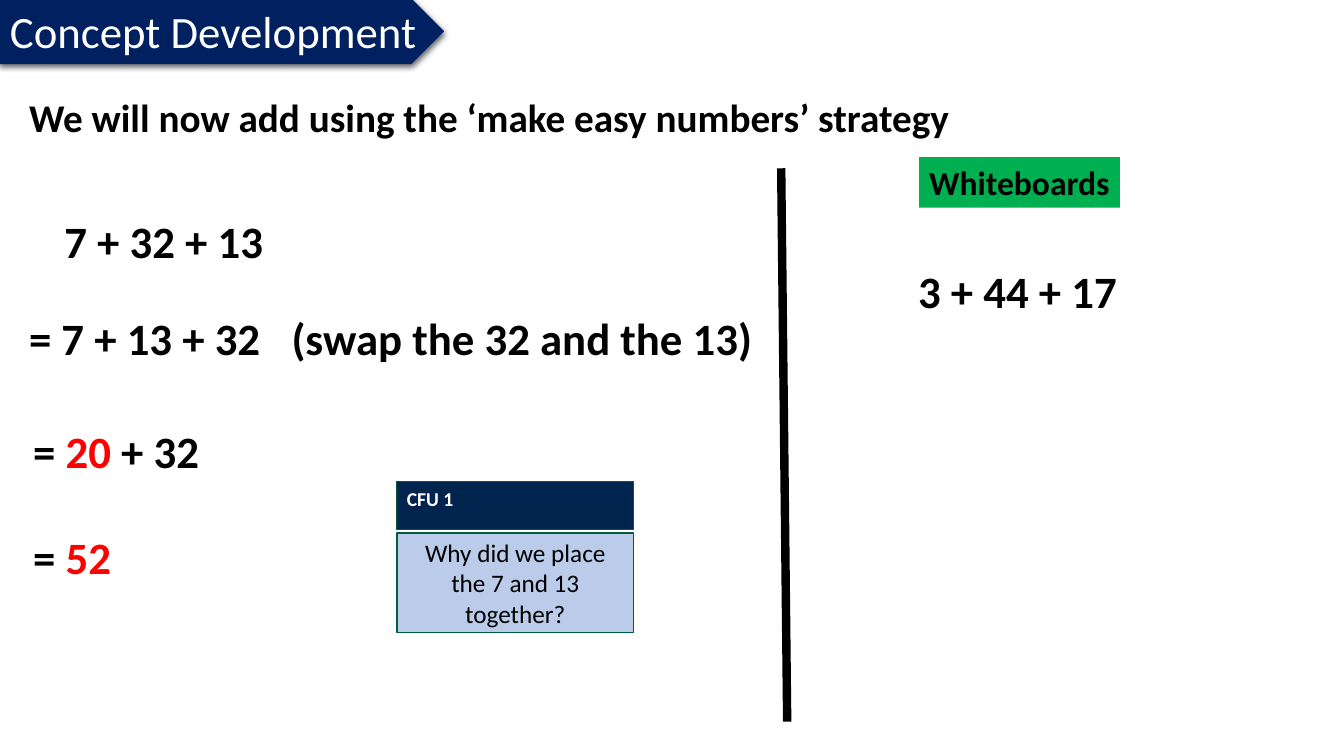
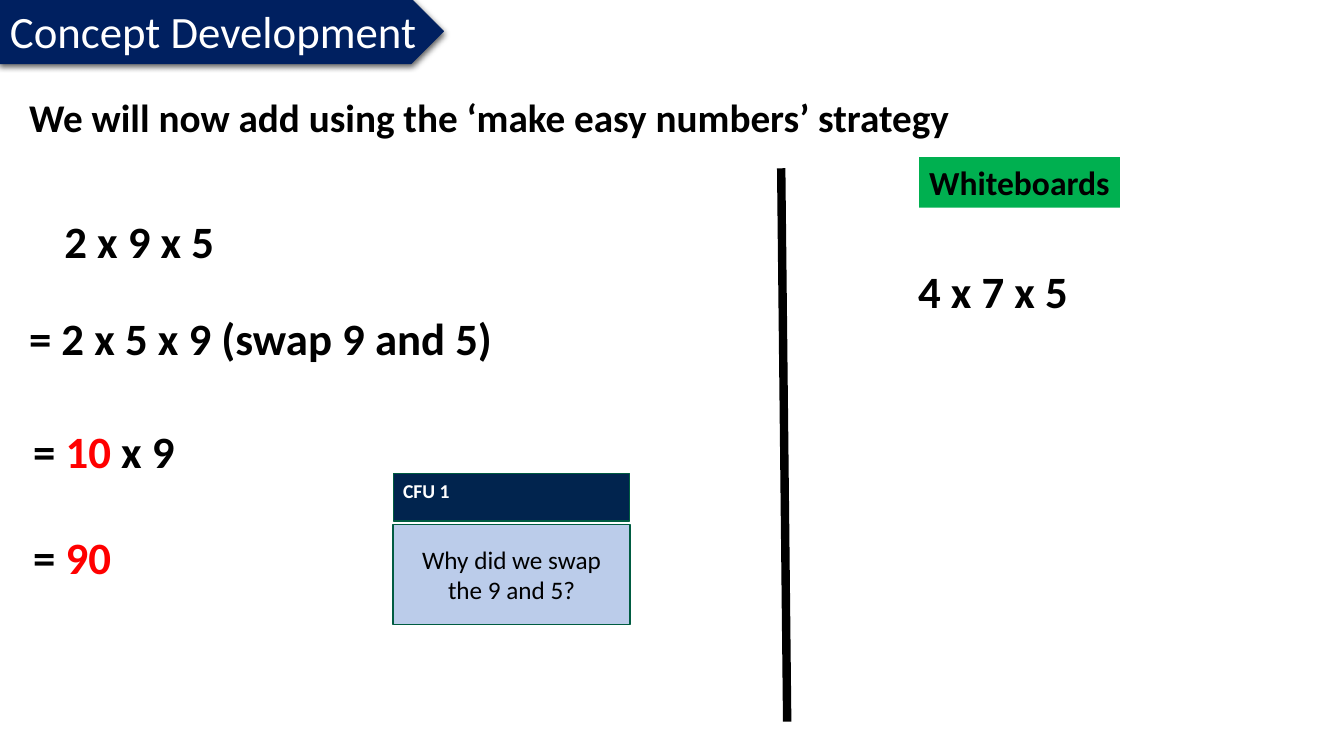
from lxml import etree
from pptx import Presentation
from pptx.dml.color import RGBColor
from pptx.enum.shapes import MSO_CONNECTOR, MSO_SHAPE
from pptx.enum.text import MSO_ANCHOR as ANCHOR, PP_ALIGN as ALIGN
from pptx.oxml.ns import qn
from pptx.util import Pt

FONT = "Calibri"
BLACK = RGBColor(0x00, 0x00, 0x00)
WHITE = RGBColor(0xFF, 0xFF, 0xFF)
RED = RGBColor(0xFF, 0x00, 0x00)
NAVY = RGBColor(0x00, 0x20, 0x60)
CFU_NAVY = RGBColor(0x01, 0x24, 0x4E)
CFU_BLUE = RGBColor(0x8F, 0xAA, 0xDC)
CFU_LINE = RGBColor(0x00, 0x5C, 0x41)
GREEN = RGBColor(0x00, 0xB0, 0x50)

# Content: each working line is a list of (text, colour) runs
BANNER = "Concept Development"
HEADING = "We will now add using the ‘make easy numbers’ strategy"
SLIDES = [
    {
        "steps": [
            [("7 + 32 + 13", BLACK)],
            [("= 7 + 13 + 32\t(swap the 32 and the 13)", BLACK)],
            [("= ", BLACK), ("20 ", RED), ("+ 32", BLACK)],
            [("= ", BLACK), ("52", RED)],
        ],
        "practice": "3 + 44 + 17",
        "question": "Why did we place the 7 and 13 together?",
        "cfu_at": (283.5, 344.2),
    },
    {
        "steps": [
            [("2 x 9 x 5", BLACK)],
            [("= 2 x 5 x 9 (swap 9 and 5)", BLACK)],
            [("= ", BLACK), ("10 ", RED), ("x 9", BLACK)],
            [("= ", BLACK), ("90", RED)],
        ],
        "practice": "4 x 7 x 5",
        "question": "Why did we swap the 9 and 5?",
        "cfu_at": (280.8, 338.4),
    },
]

# Layout, in points
STEP_AT = [(38.9, 153.4), (13.7, 222.5), (16.6, 303.1), (16.6, 379.4)]
STEP_SIZE = (703.4, 51.8)
NOTE_TAB = 187.5
CFU_WIDTH, CFU_HEAD, CFU_BODY, CFU_STEP = 169.2, 33.8, 71.3, 36.4


def add_text(sp, runs, size, color=BLACK, bold=False, align=ALIGN.LEFT,
             anchor=ANCHOR.TOP, wrap=True, spacing=None, tab=None):
    """Write one paragraph; runs is a string or a list of (text, colour)."""
    tf = sp.text_frame
    tf.word_wrap, tf.vertical_anchor = wrap, anchor
    p = tf.paragraphs[0]
    p.alignment = align
    if spacing:
        p.line_spacing = spacing
    if tab:
        tabs = etree.SubElement(p._p.get_or_add_pPr(), qn("a:tabLst"))
        etree.SubElement(tabs, qn("a:tab"), pos=str(Pt(tab)), algn="l")
    for text, run_color in [(runs, color)] if isinstance(runs, str) else runs:
        r = p.add_run()
        r.text = text
        r.font.name, r.font.size, r.font.bold = FONT, Pt(size), bold
        r.font.color.rgb = run_color


def add_line_of_text(s, box, runs, size, **fmt):
    sp = s.shapes.add_textbox(*map(Pt, box))
    add_text(sp, runs, size, bold=True, spacing=0.9, **fmt)


def add_block(s, kind, box, fill, line=None, width=0.75):
    sp = s.shapes.add_shape(kind, *map(Pt, box))
    sp.shadow.inherit = False
    sp.fill.solid()
    sp.fill.fore_color.rgb = fill
    if line is None:
        sp.line.fill.background()
    else:
        sp.line.color.rgb, sp.line.width = line, Pt(width)
    return sp


def set_alpha(color_el, percent):
    etree.SubElement(color_el, qn("a:alpha"), val=str(percent * 1000))


def add_banner(s):
    sp = add_block(s, MSO_SHAPE.PENTAGON, (0, -0.7, 316.8, 46.1), NAVY, NAVY)
    effects = sp._element.spPr.find(qn("a:effectLst"))
    shadow = etree.SubElement(effects, qn("a:outerShdw"), blurRad=str(Pt(4.5)),
                              dist=str(Pt(1.5)), dir="5400000", rotWithShape="0")
    set_alpha(etree.SubElement(shadow, qn("a:srgbClr"), val=str(BLACK)), 63)
    add_text(sp, BANNER, 32, WHITE, wrap=False)


def add_divider(s):
    ends = map(Pt, (558, 120.2, 562.3, 515.5))
    line = s.shapes.add_connector(MSO_CONNECTOR.STRAIGHT, *ends)
    line.line.color.rgb, line.line.width = BLACK, Pt(6)
    etree.SubElement(line._element.spPr, qn("a:effectLst"))


def add_cfu(s, left, top, question):
    head = add_block(s, MSO_SHAPE.RECTANGLE, (left, top, CFU_WIDTH, CFU_HEAD),
                     CFU_NAVY, CFU_LINE)
    add_text(head, "CFU 1", 14, WHITE, bold=True)
    body = add_block(s, MSO_SHAPE.RECTANGLE,
                     (left, top + CFU_STEP, CFU_WIDTH, CFU_BODY),
                     CFU_BLUE, CFU_LINE, width=1)
    fill = body._element.spPr.find(qn("a:solidFill"))
    set_alpha(fill.find(qn("a:srgbClr")), 60)
    add_text(body, question, 18, align=ALIGN.CENTER, anchor=ANCHOR.MIDDLE)


def build_slide(prs, content):
    s = prs.slides.add_slide(prs.slide_layouts[6])
    add_line_of_text(s, (13.7, 67, 703.4, 72), HEADING, 28)
    add_cfu(s, *content["cfu_at"], content["question"])
    # Worked example
    for at, runs in zip(STEP_AT, content["steps"]):
        add_line_of_text(s, at + STEP_SIZE, runs, 32, tab=NOTE_TAB)
    add_banner(s)
    # Whiteboard practice
    add_line_of_text(s, (648.7, 189.4, 177.8, 49.7), content["practice"], 32)
    add_divider(s)
    label = add_block(s, MSO_SHAPE.RECTANGLE, (656.6, 112.3, 143.3, 36), GREEN)
    add_text(label, "Whiteboards", 24, bold=True)


def main():
    prs = Presentation()
    prs.slide_width, prs.slide_height = Pt(960), Pt(540)
    for content in SLIDES:
        build_slide(prs, content)
    prs.save("out.pptx")


if __name__ == "__main__":
    main()
